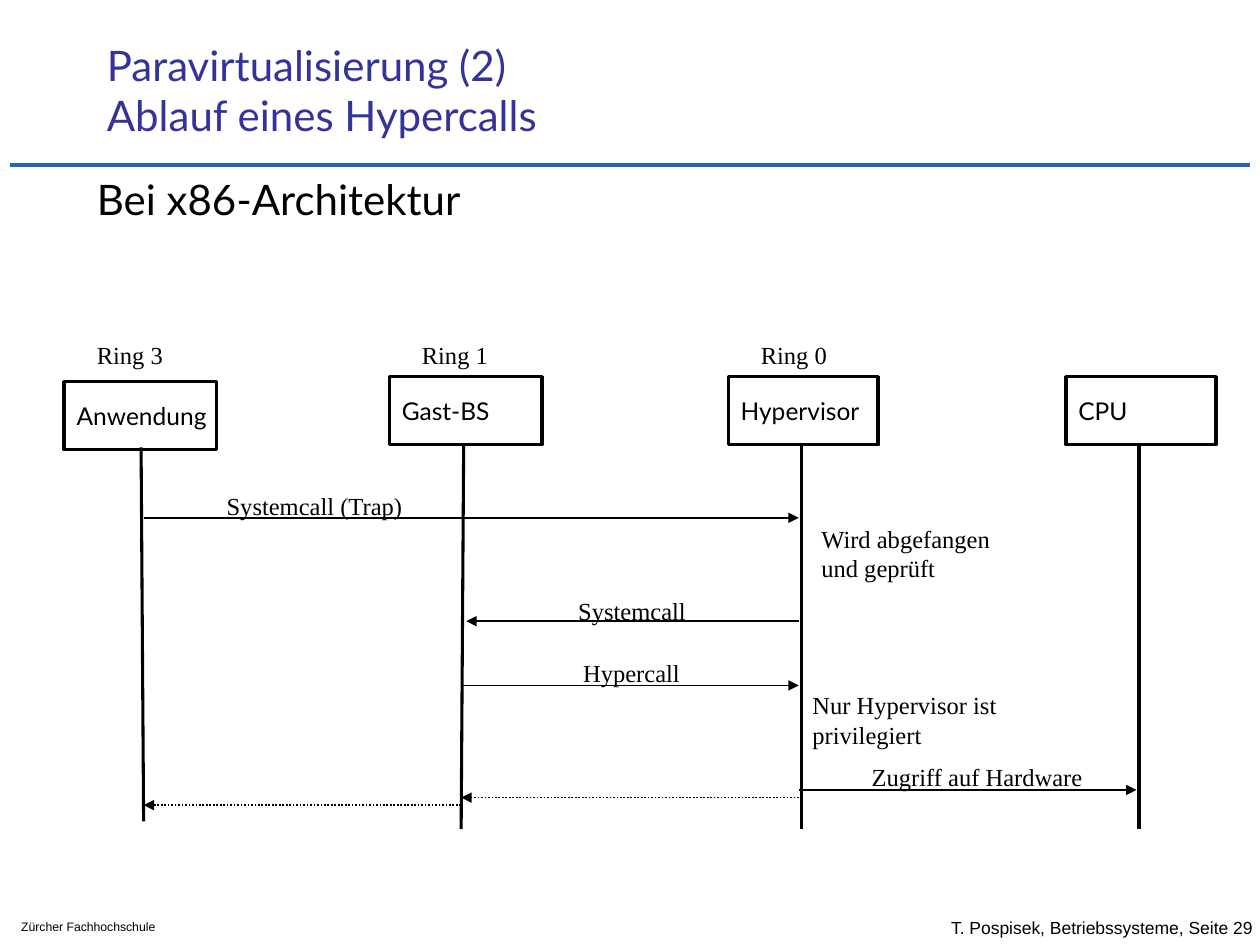
from dataclasses import dataclass

from lxml import etree
from pptx import Presentation
from pptx.dml.color import RGBColor
from pptx.enum import dml, shapes, text
from pptx.oxml.ns import qn
from pptx.util import Inches, Pt


@dataclass(frozen=True)
class Theme:
    ink: str = "000000"
    paper: str = "FFFFFF"
    title: str = "333399"
    rule: str = "2266AB"
    bullet: str = "3333CC"
    sans: str = "Lato"
    serif: str = "Times New Roman"
    foot: str = "Arial"
    head: int = 24
    body: int = 14
    page: int = 10
    small: int = 7


THEME = Theme()
TOP, BASE = 2.99, 6.58

# name, ring, box left, box top, box width, line start, line end
ROLES = [
    ("Anwendung", "Ring 3", 0.51, 3.03, 1.21, (1.12, 3.55), (1.14, 6.52)),
    ("Gast-BS", "Ring 1", 3.09, TOP, 1.21, (3.68, 3.53), (3.66, BASE)),
    ("Hypervisor", "Ring 0", 5.78, TOP, 1.19, (6.36, 3.53), (6.36, BASE)),
    ("CPU", None, 8.46, TOP, 1.19, (9.04, 3.53), (9.04, BASE)),
]
# start x, end x, y, dotted
CALLS = [
    (1.14, 6.34, 4.11, False),
    (6.34, 3.7, 4.93, False),
    (3.66, 6.34, 5.44, False),
    (6.34, 9.02, 6.27, False),
    (6.34, 3.66, 6.33, True),
    (3.66, 1.14, 6.39, True),
]
# wording, left, top, width, height
NOTES = [
    ("Systemcall (Trap)", 1.7, 3.85, 1.59, 0.33),
    ("Systemcall", 4.49, 4.68, 1.05, 0.33),
    ("Hypercall", 4.53, 5.17, 0.97, 0.33),
    ("Zugriff auf Hardware", 6.82, 6, 1.87, 0.33),
    ("Wird abgefangen\nund geprüft", 6.42, 4.11, 1.59, 0.57),
    ("Nur Hypervisor ist\nprivilegiert", 6.35, 5.43, 1.76, 0.57),
]


def color(code):
    return RGBColor.from_string(code)


def write(shape, words, font, size, tint=THEME.ink,
          anchor=text.MSO_ANCHOR.TOP):
    frame = shape.text_frame
    frame.word_wrap = True
    frame.margin_right = 0
    frame.vertical_anchor = anchor
    frame.text = words
    for para in frame.paragraphs:
        para.alignment = text.PP_ALIGN.LEFT
        para.font.name = font
        para.font.size = Pt(size)
        para.font.color.rgb = color(tint)


def label(slide, words, area, font=THEME.serif, size=THEME.body, **style):
    box = slide.shapes.add_textbox(*map(Inches, area))
    write(box, words, font, size, **style)


def role(slide, name, area):
    box = slide.shapes.add_shape(shapes.MSO_SHAPE.RECTANGLE,
                                 *map(Inches, area))
    box.shadow.inherit = False
    box.fill.solid()
    box.fill.fore_color.rgb = color(THEME.paper)
    box.line.color.rgb = color(THEME.ink)
    box.line.width = Pt(2)
    write(box, name, THEME.sans, THEME.body, anchor=text.MSO_ANCHOR.MIDDLE)


def line(slide, start, end, width, tint=THEME.ink):
    link = slide.shapes.add_connector(shapes.MSO_CONNECTOR.STRAIGHT,
                                      *map(Inches, (*start, *end)))
    link.line.color.rgb = color(tint)
    link.line.width = Pt(width)
    etree.SubElement(link._element.spPr, qn("a:effectLst"))
    return link


def call(slide, start, end, y, dotted):
    link = line(slide, (start, y), (end, y), 1)
    if dotted:
        link.line.dash_style = dml.MSO_LINE.ROUND_DOT
    etree.SubElement(link.line._get_or_add_ln(), qn("a:tailEnd"),
                     type="triangle")


def bullet(slide, words, area):
    box = slide.shapes.add_textbox(*map(Inches, area))
    props = box.text_frame.paragraphs[0]._p.get_or_add_pPr()
    props.set("marL", str(Inches(0.38)))
    props.set("indent", str(Inches(-0.37)))
    tint = etree.SubElement(props, qn("a:buClr"))
    etree.SubElement(tint, qn("a:srgbClr"), val=THEME.bullet)
    etree.SubElement(props, qn("a:buSzPct"), val="60000")
    etree.SubElement(props, qn("a:buFont"), typeface=THEME.foot)
    etree.SubElement(props, qn("a:buChar"), char="■")
    write(box, words, THEME.sans, THEME.head)


def main():
    deck = Presentation()
    deck.slide_width, deck.slide_height = Inches(10), Inches(7.5)
    slide = deck.slides.add_slide(deck.slide_layouts[6])

    line(slide, (0.08, 1.31), (9.92, 1.31), 2.5, THEME.rule)
    label(slide, "T. Pospisek, Betriebssysteme, Seite 29",
          (7.45, 7.2, 2.55, 0.33), THEME.foot, THEME.page,
          anchor=text.MSO_ANCHOR.MIDDLE)
    label(slide, "Zürcher Fachhochschule", (0.07, 7.25, 1.72, 0.22),
          THEME.foot, THEME.small)
    label(slide, "Paravirtualisierung (2)\vAblauf eines Hypercalls",
          (0.75, 0.33, 8.52, 0.83), THEME.sans, THEME.head,
          tint=THEME.title, anchor=text.MSO_ANCHOR.BOTTOM)
    bullet(slide, "Bei x86-Architektur", (0.67, 1.33, 8.66, 2.18))

    for name, ring, left, top, width, start, end in ROLES:
        role(slide, name, (left, top, width, 0.54))
        line(slide, start, end, 1.75)
        if ring:
            label(slide, ring, (left + 0.16, 2.65, 0.87, 0.33))
    for item in CALLS:
        call(slide, *item)
    for words, *area in NOTES:
        label(slide, words, area)

    deck.save("out.pptx")


if __name__ == "__main__":
    main()
